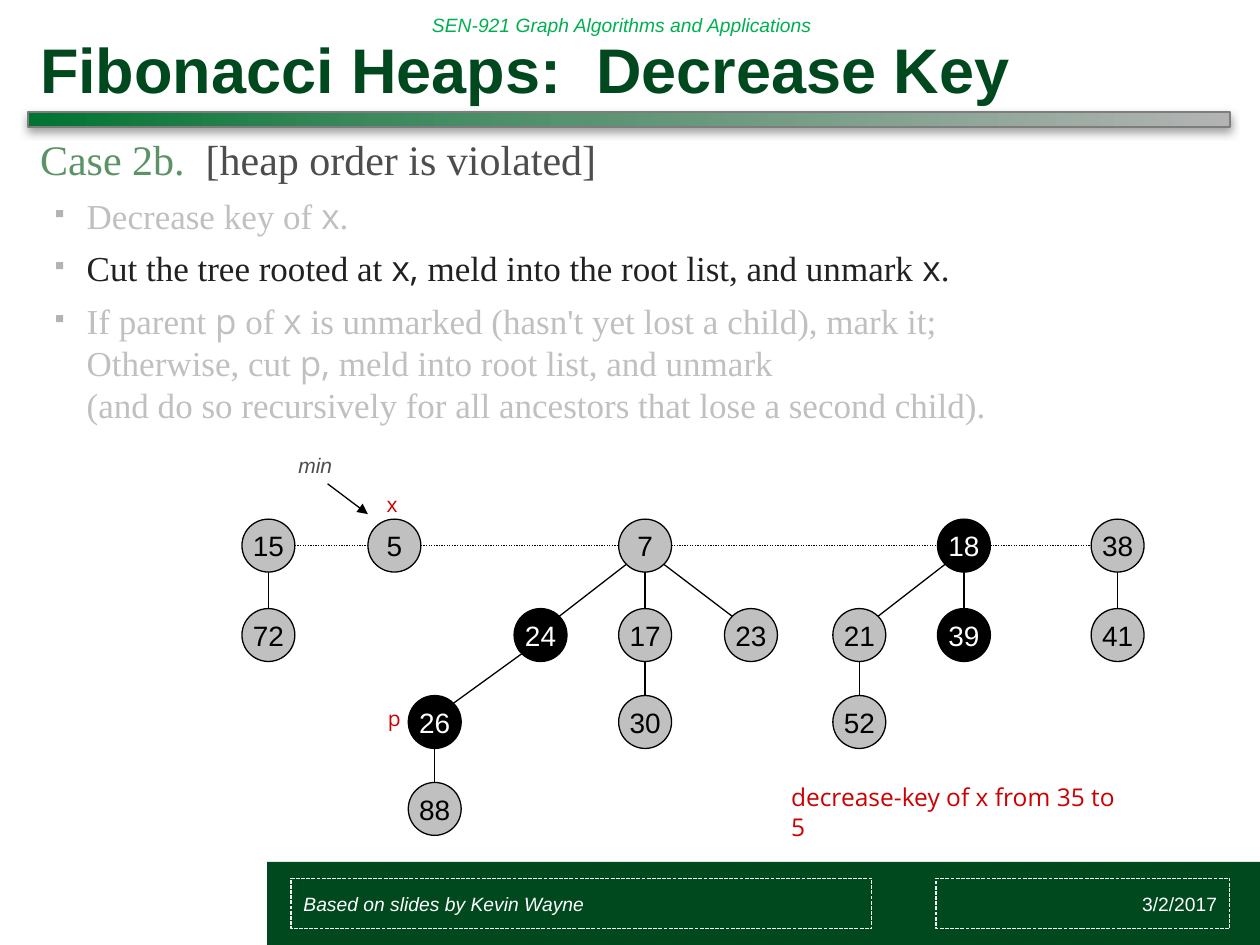
"""Build the Fibonacci heap decrease-key slide."""
from math import sqrt

from pptx import Presentation
from pptx.dml.color import RGBColor
from pptx.enum.dml import MSO_LINE
from pptx.enum.shapes import MSO_CONNECTOR, MSO_SHAPE
from pptx.enum.text import MSO_ANCHOR, PP_ALIGN
from pptx.oxml import parse_xml
from pptx.oxml.ns import nsdecls
from pptx.util import Inches, Pt

BLACK = RGBColor(0x00, 0x00, 0x00)
MARKED = RGBColor(0x01, 0x00, 0x00)
WHITE = RGBColor(0xFF, 0xFF, 0xFF)
SILVER = RGBColor(0xC0, 0xC0, 0xC0)
DARK_GREEN = RGBColor(0x00, 0x48, 0x1E)
HEADER_GREEN = RGBColor(0x00, 0xB0, 0x50)
CASE_GREEN = RGBColor(0x5B, 0x92, 0x66)
DARK_GRAY = RGBColor(0x4D, 0x4D, 0x4D)
BAR_LINE = RGBColor(0x7D, 0x7D, 0x7D)
PALE = RGBColor(0xF2, 0xF2, 0xF2)
INK = RGBColor(0x21, 0x21, 0x21)
RED = RGBColor(0xCC, 0x00, 0x00)

SANS, SERIF, KEY = "Arial", "Times New Roman", "Open Sans"
DIAMETER = 0.42
RADIUS = DIAMETER / 2
DIAGONAL = RADIUS / sqrt(2)
LEVELS = [4.33, 5.04, 5.73, 6.42]

NODES = {
    15: (2.13, 0), 5: (3.13, 0), 7: (5.12, 0), 18: (7.65, 0), 38: (8.87, 0),
    72: (2.13, 1), 24: (4.29, 1), 17: (5.12, 1), 23: (5.96, 1), 21: (6.82, 1),
    39: (7.65, 1), 41: (8.87, 1), 26: (3.45, 2), 30: (5.12, 2), 52: (6.82, 2),
    88: (3.45, 3),
}
MARKED_KEYS = {18, 24, 26, 39}
ROOTS = [15, 5, 7, 18, 38]
TREE_EDGES = [(15, 72), (7, 24), (7, 17), (7, 23), (18, 21), (18, 39), (38, 41),
              (24, 26), (17, 30), (21, 52), (26, 88)]
STEPS = [
    (SILVER, [("Decrease key of ", SERIF), ("x", KEY), (".", SERIF)]),
    (INK, [("Cut the tree rooted at ", SERIF), ("x, ", KEY),
           ("meld into the root list, and unmark ", SERIF), ("x", KEY), (".", SERIF)]),
    (SILVER, [("If parent ", SERIF), ("p", KEY), (" of ", SERIF), ("x", KEY),
              (" is unmarked (hasn't yet lost a child), mark it;\nOtherwise, cut ", SERIF),
              ("p,", KEY),
              (" meld into root list, and unmark\n"
               "(and do so recursively for all ancestors that lose a second child).", SERIF)]),
]


class SlideBuilder:
    """Hold the slide and draw each kind of element on it."""

    def __init__(self, slide):
        self.slide = slide

    def run(self, paragraph, text, size, color, font=SANS, bold=False, italic=False):
        for index, part in enumerate(text.split("\n")):
            if index:
                paragraph.add_line_break()
            run = paragraph.add_run()
            run.text = part
            run.font.size = Pt(size)
            run.font.name = font
            run.font.bold = bold
            run.font.italic = italic
            run.font.color.rgb = color

    def text(self, box, text="", size=12, color=BLACK, anchor=MSO_ANCHOR.TOP, wrap=True, **style):
        frame = self.slide.shapes.add_textbox(*map(Inches, box)).text_frame
        frame.word_wrap = wrap
        frame.vertical_anchor = anchor
        if text:
            self.run(frame.paragraphs[0], text, size, color, **style)
        return frame

    def shape(self, kind, box, fill=None, line=None, width=0.75, dash=None):
        shape = self.slide.shapes.add_shape(kind, *map(Inches, box))
        shape.shadow.inherit = False
        if fill is None:
            shape.fill.background()
        else:
            shape.fill.solid()
            shape.fill.fore_color.rgb = fill
        if line is None:
            shape.line.fill.background()
        else:
            shape.line.color.rgb = line
            shape.line.width = Pt(width)
            if dash:
                shape.line.dash_style = dash
        return shape

    def label(self, shape, text, size, color, align, wrap=True, italic=False):
        frame = shape.text_frame
        frame.word_wrap = wrap
        frame.vertical_anchor = MSO_ANCHOR.MIDDLE
        frame.paragraphs[0].alignment = align
        self.run(frame.paragraphs[0], text, size, color, italic=italic)

    def gradient_bar(self, box, stops):
        shape = self.shape(MSO_SHAPE.RECTANGLE, box, WHITE, BAR_LINE, 1)
        properties = shape.element.spPr
        stop_xml = "".join(f'<a:gs pos="{percent * 1000}"><a:srgbClr val="{color}"/></a:gs>'
                           for percent, color in stops)
        gradient = parse_xml(f'<a:gradFill {nsdecls("a")}><a:gsLst>{stop_xml}</a:gsLst>'
                             '<a:lin ang="0" scaled="0"/></a:gradFill>')
        properties.replace(properties.find(gradient.tag.replace("gradFill", "solidFill")), gradient)
        effects = properties.find(gradient.tag.replace("gradFill", "effectLst"))
        effects.append(parse_xml(
            f'<a:outerShdw {nsdecls("a")} blurRad="{Pt(5)}" dist="{Pt(2)}" dir="5400000">'
            '<a:srgbClr val="808080"><a:alpha val="75000"/></a:srgbClr></a:outerShdw>'))

    def line(self, start, end, dash=None, arrow=False):
        connector = self.slide.shapes.add_connector(
            MSO_CONNECTOR.STRAIGHT, *map(Inches, (*start, *end)))
        connector.line.color.rgb = BLACK
        connector.line.width = Pt(0.75)
        if dash:
            connector.line.dash_style = dash
        if arrow:
            connector.line._get_or_add_ln().append(
                parse_xml(f'<a:tailEnd {nsdecls("a")} type="triangle"/>'))
        connector.element.spPr.append(parse_xml(f'<a:effectLst {nsdecls("a")}/>'))

    def node(self, key):
        x, level = NODES[key]
        marked = key in MARKED_KEYS
        box = (x - RADIUS, LEVELS[level] - RADIUS, DIAMETER, DIAMETER)
        shape = self.shape(MSO_SHAPE.OVAL, box, MARKED if marked else SILVER, BLACK)
        self.label(shape, str(key), 16, WHITE if marked else BLACK, PP_ALIGN.CENTER, wrap=False)

    def tree_edge(self, parent, child):
        (x1, level1), (x2, level2) = NODES[parent], NODES[child]
        side = (x2 > x1) - (x2 < x1)
        shift_x, shift_y = side * DIAGONAL, DIAGONAL if side else RADIUS
        self.line((x1 + shift_x, LEVELS[level1] + shift_y),
                  (x2 - shift_x, LEVELS[level2] - shift_y))

    def bullet(self, frame, color, pieces):
        paragraph = frame.add_paragraph()
        properties = paragraph._p.get_or_add_pPr()
        properties.set("marL", str(Inches(0.37)))
        properties.set("indent", str(Inches(-0.25)))
        for xml in ('<a:buClr {}><a:srgbClr val="B3B3B3"/></a:buClr>',
                    '<a:buSzPct {} val="35000"/>', '<a:buChar {} char="■"/>'):
            properties.append(parse_xml(xml.format(nsdecls("a"))))
        paragraph.level = 1
        paragraph.space_before = Pt(6)
        paragraph.line_spacing = Pt(24)
        for text, font in pieces:
            self.run(paragraph, text, 20, color, font)

    def footer(self, box, text, align, italic=False):
        shape = self.shape(MSO_SHAPE.RECTANGLE, box, line=PALE, dash=MSO_LINE.SQUARE_DOT)
        self.label(shape, text, 11, WHITE, align, italic=italic)


def main():
    presentation = Presentation()
    presentation.slide_width, presentation.slide_height = Inches(10), Inches(7.5)
    builder = SlideBuilder(presentation.slides.add_slide(presentation.slide_layouts[6]))

    builder.shape(MSO_SHAPE.RECTANGLE, (2.12, 6.84, 7.88, 0.66), DARK_GREEN)
    builder.text((3.33, 0, 4.61, 0.4), "SEN-921 Graph Algorithms and Applications", 11,
                 HEADER_GREEN, MSO_ANCHOR.MIDDLE, italic=True)
    builder.gradient_bar((0.22, 0.89, 9.54, 0.12),
                         [(0, "007430"), (29, "3C895C"), (100, "B3B3B3")])
    builder.text((0.22, 0.16, 9.54, 0.73), "Fibonacci Heaps:  Decrease Key", 36,
                 DARK_GREEN, MSO_ANCHOR.BOTTOM, bold=True)

    body = builder.text((0.22, 1.01, 9.54, 5.69))
    heading = body.paragraphs[0]
    heading.line_spacing = Pt(28.8)
    builder.run(heading, "Case 2b.  ", 24, CASE_GREEN, SERIF)
    builder.run(heading, "[heap order is violated]", 24, DARK_GRAY, SERIF)
    for color, pieces in STEPS:
        builder.bullet(body, color, pieces)

    for left, right in zip(ROOTS, ROOTS[1:]):
        builder.line((NODES[left][0] + RADIUS, LEVELS[0]),
                     (NODES[right][0] - RADIUS, LEVELS[0]), MSO_LINE.ROUND_DOT)
    for parent, child in TREE_EDGES:
        builder.tree_edge(parent, child)
    for key in NODES:
        builder.node(key)

    builder.text((6.18, 6.16, 2.84, 0.34), "decrease-key of x from 35 to 5", 14, RED, font=KEY)
    builder.text((2.97, 3.85, 0.29, 0.3), "x", 12, RED, wrap=False, font=KEY)
    builder.text((2.98, 5.55, 0.3, 0.3), "p", 12, RED, wrap=False, font=KEY)
    builder.text((2.27, 3.54, 0.47, 0.3), "min", 12, DARK_GRAY, wrap=False, italic=True)
    builder.line((2.6, 3.84), (2.92, 4.08), arrow=True)

    builder.footer((7.43, 6.97, 2.33, 0.4), "3/2/2017", PP_ALIGN.RIGHT)
    builder.footer((2.31, 6.97, 4.61, 0.4), "Based on slides by Kevin Wayne", PP_ALIGN.LEFT,
                   italic=True)
    presentation.save("out.pptx")


if __name__ == "__main__":
    main()
